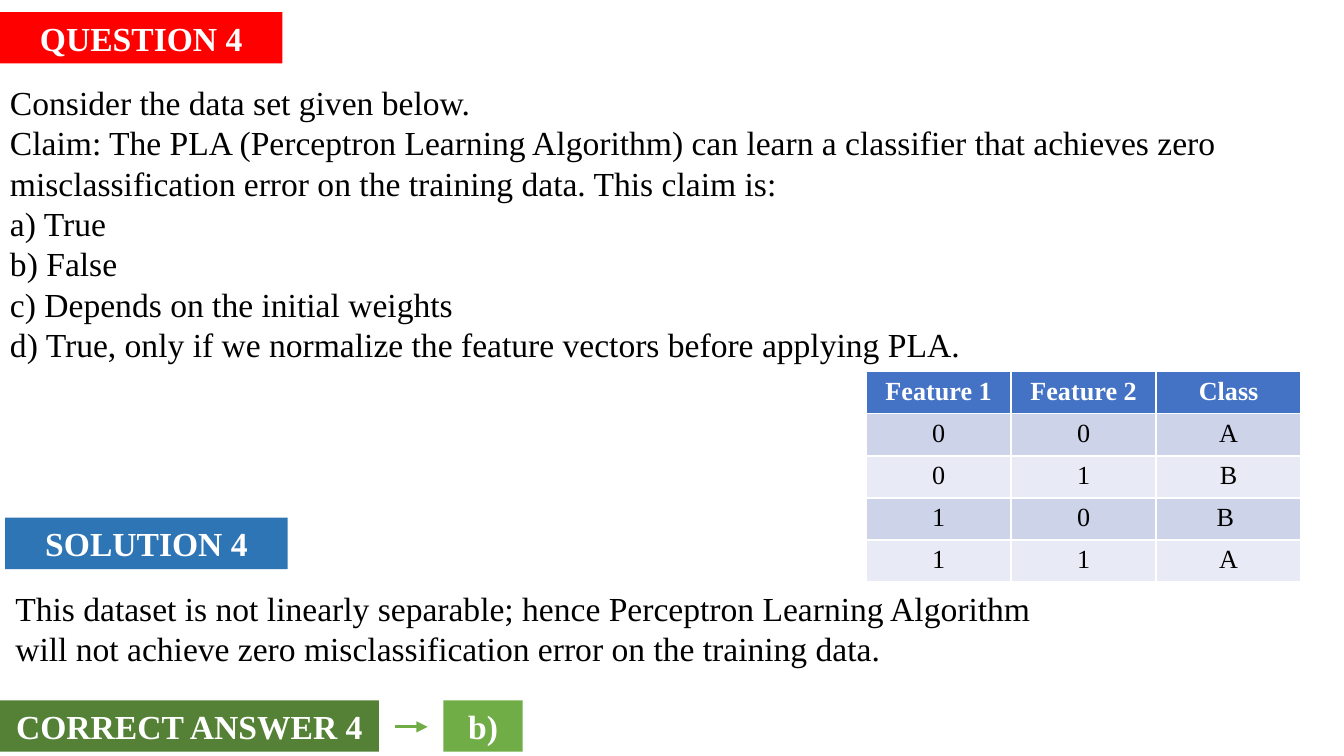
from lxml.etree import SubElement
from pptx import Presentation
from pptx.dml.color import RGBColor as RGB
from pptx.enum.shapes import MSO_CONNECTOR as CONNECTOR, MSO_SHAPE as SHAPE
from pptx.enum.text import MSO_AUTO_SIZE as AUTO_SIZE, PP_ALIGN as ALIGN
from pptx.oxml.ns import qn
from pptx.util import Cm, Pt

COLORS = {
    "question": "FF0000", "solution": "2E75B5", "answer": "548135", "choice": "70AD47",
    "header": "4472C4", "odd": "CDD4EA", "even": "E8EBF5", "white": "FFFFFF", "black": "000000",
}
QUESTION = [
    "Consider the data set given below.",
    "Claim: The PLA (Perceptron Learning Algorithm) can learn a classifier that achieves zero "
    "misclassification error on the training data. This claim is:",
    "a) True",
    "b) False",
    "c) Depends on the initial weights",
    "d) True, only if we normalize the feature vectors before applying PLA.",
]
SOLUTION = ["This dataset is not linearly separable; hence Perceptron Learning Algorithm "
            "will not achieve zero misclassification error on the training data."]
DATASET = [
    ("Feature 1", "Feature 2", "Class"),
    ("0", "0", "A"),
    ("0", "1", "B"),
    ("1", "0", "B "),
    ("1", "1", "A"),
]


def color(name):
    return RGB.from_string(COLORS[name])


def write(frame, lines, size=18, ink="black", bold=False, align=ALIGN.LEFT):
    for index, line in enumerate(lines):
        paragraph = frame.add_paragraph() if index else frame.paragraphs[0]
        paragraph.alignment = align
        run = paragraph.add_run()
        run.text = line
        run.font.name = "Times New Roman"
        run.font.size = Pt(size)
        run.font.bold = bold
        run.font.color.rgb = color(ink)


class QuizSlide:
    """Draws the parts of a quiz slide in one shared style."""

    label_height = 0.97

    def __init__(self, slide):
        self.shapes = slide.shapes

    def fit(self, frame):
        frame.word_wrap = True
        frame.auto_size = AUTO_SIZE.SHAPE_TO_FIT_TEXT
        frame.margin_left = frame.margin_right = Cm(0.19)
        frame.margin_top = frame.margin_bottom = Cm(0.1)

    def label(self, text, left, top, width, fill):
        box = self.shapes.add_shape(SHAPE.RECTANGLE, Cm(left), Cm(top), Cm(width), Cm(self.label_height))
        box.shadow.inherit = False
        box.fill.solid()
        box.fill.fore_color.rgb = color(fill)
        box.line.fill.background()
        self.fit(box.text_frame)
        write(box.text_frame, [text], ink="white", bold=True, align=ALIGN.CENTER)

    def text(self, lines, left, top, width, height):
        frame = self.shapes.add_textbox(Cm(left), Cm(top), Cm(width), Cm(height)).text_frame
        self.fit(frame)
        write(frame, lines)

    def arrow(self, start, end, y, ink):
        arrow = self.shapes.add_connector(CONNECTOR.STRAIGHT, Cm(start), Cm(y), Cm(end), Cm(y))
        arrow.line.color.rgb = color(ink)
        arrow.line.width = Pt(1.5)
        SubElement(arrow.line._get_or_add_ln(), qn("a:tailEnd"), type="triangle")
        SubElement(arrow._element.spPr, qn("a:effectLst"))

    def table(self, rows, left, top, column_width, row_height):
        columns = len(rows[0])
        table = self.shapes.add_table(len(rows), columns, Cm(left), Cm(top), Cm(column_width * columns),
                                      Cm(row_height * len(rows))).table
        for column in table.columns:
            column.width = Cm(column_width)
        for r, values in enumerate(rows):
            table.rows[r].height = Cm(row_height)
            fill = "header" if r == 0 else "odd" if r % 2 else "even"
            for c, value in enumerate(values):
                cell = table.cell(r, c)
                cell.fill.solid()
                cell.fill.fore_color.rgb = color(fill)
                cell.margin_left = cell.margin_right = Cm(0.2)
                cell.margin_top = cell.margin_bottom = Cm(0.1)
                write(cell.text_frame, [value], size=14, ink="black" if r else "white",
                      bold=r == 0, align=ALIGN.CENTER)


def main():
    deck = Presentation()
    deck.slide_width, deck.slide_height = Cm(25.4), Cm(14.28)
    quiz = QuizSlide(deck.slides.add_slide(deck.slide_layouts[6]))
    quiz.label("QUESTION 4", 0, 0.23, 5.34, "question")
    quiz.text(QUESTION, 0, 1.45, 24.54, 5.59)
    quiz.label("SOLUTION 4", 0.1, 9.78, 5.34, "solution")
    quiz.label("CORRECT ANSWER 4", 0, 13.23, 7.16, "answer")
    quiz.text(SOLUTION, 0.1, 11, 20.02, 1.73)
    quiz.label("b)", 8.38, 13.23, 1.5, "choice")
    quiz.arrow(7.47, 8.08, 13.73, "choice")
    quiz.table(DATASET, 16.37, 7.02, 2.74, 0.66)
    deck.save("out.pptx")


if __name__ == "__main__":
    main()
